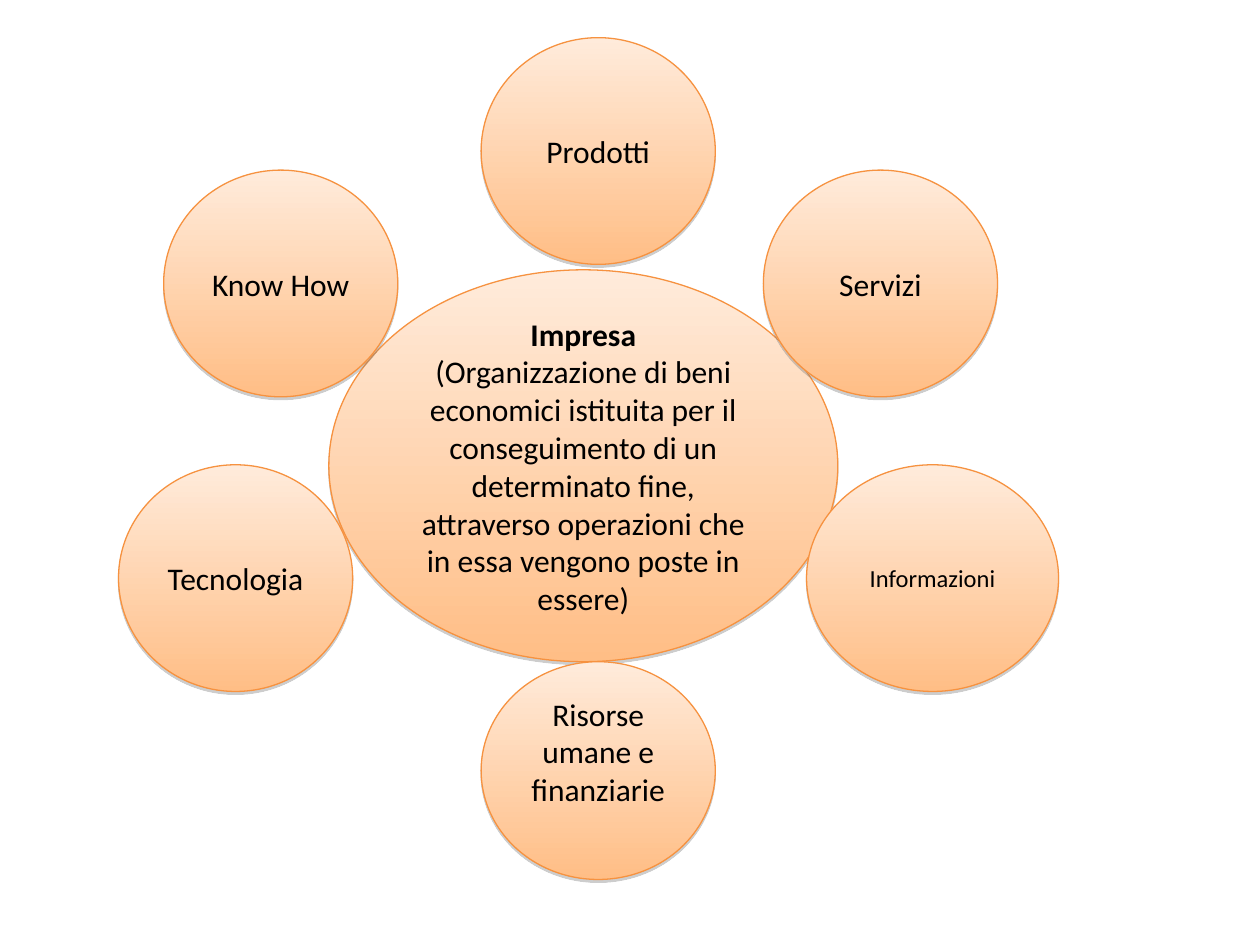
from lxml import etree
from pptx import Presentation
from pptx.dml.color import RGBColor
from pptx.enum.shapes import MSO_SHAPE
from pptx.enum.text import MSO_ANCHOR, PP_ALIGN
from pptx.oxml.ns import qn
from pptx.util import Cm, Pt

OVAL = MSO_SHAPE.OVAL
MIDDLE = MSO_ANCHOR.MIDDLE
CENTER = PP_ALIGN.CENTER
PALE = RGBColor(0xFF, 0xEB, 0xDB)
PEACH = RGBColor(0xFF, 0xBE, 0x86)
ORANGE = RGBColor(0xF6, 0x92, 0x40)
BLACK = RGBColor(0, 0, 0)
GREY = RGBColor(0x80, 0x80, 0x80)
FONT = "Calibri"

WIDE, HIGH = 4.72, 4.57
FIRM = (
    "Impresa\n(Organizzazione di beni economici istituita per il "
    "conseguimento di un determinato fine, attraverso operazioni che "
    "in essa vengono poste in essere)"
)
ASSETS = [
    ("Prodotti", 9.7, 0.76, WIDE, HIGH, 18),
    ("Servizi", 15.39, 3.43, WIDE, HIGH, 18),
    ("Know How", 3.3, 3.43, WIDE, HIGH, 18),
    ("Tecnologia", 2.39, 9.37, WIDE, HIGH, 18),
    ("Informazioni", 16.26, 9.37, 5.08, HIGH, 14),
]


def add_shadow(shape):
    shape.shadow.inherit = False
    effects = shape._element.spPr.find(qn("a:effectLst"))
    outer = etree.SubElement(
        effects, qn("a:outerShdw"), blurRad="0", dist=str(Pt(1.6)),
        dir="5400000", rotWithShape="0")
    color = etree.SubElement(outer, qn("a:srgbClr"), val=str(GREY))
    etree.SubElement(color, qn("a:alpha"), val="38000")


def paint(shape):
    fill = shape.fill
    fill.gradient()
    fill.gradient_angle = 270
    for stop, color, place in zip(fill.gradient_stops, (PALE, PEACH), (0, 1)):
        stop.color.rgb = color
        stop.position = place
    shape.line.color.rgb = ORANGE
    shape.line.width = Pt(0.75)
    add_shadow(shape)


def write(shape, text, size):
    frame = shape.text_frame
    frame.word_wrap = True
    frame.vertical_anchor = MIDDLE
    frame.text = text
    for line in frame.paragraphs:
        line.alignment = CENTER
        for run in line.runs:
            run.font.name = FONT
            run.font.size = Pt(size)
            run.font.color.rgb = BLACK
    return frame


def add_oval(slide, text, left, top, width, height, size=18):
    shape = slide.shapes.add_shape(
        OVAL, Cm(left), Cm(top), Cm(width), Cm(height))
    paint(shape)
    return write(shape, text, size)


def main():
    """Build the slide of a firm surrounded by its assets."""
    deck = Presentation()
    deck.slide_width, deck.slide_height = Cm(25.4), Cm(19.05)
    slide = deck.slides.add_slide(deck.slide_layouts[6])
    firm = add_oval(slide, FIRM, 6.63, 5.44, 10.26, 7.9)
    firm.paragraphs[0].runs[0].font.bold = True
    for asset in ASSETS:
        add_oval(slide, *asset)
    staff = add_oval(
        slide, "Risorse umane e finanziarie", 9.7, 13.34, WIDE, 4.39)
    staff.margin_bottom = Cm(0.9)
    deck.save("out.pptx")


if __name__ == "__main__":
    main()
